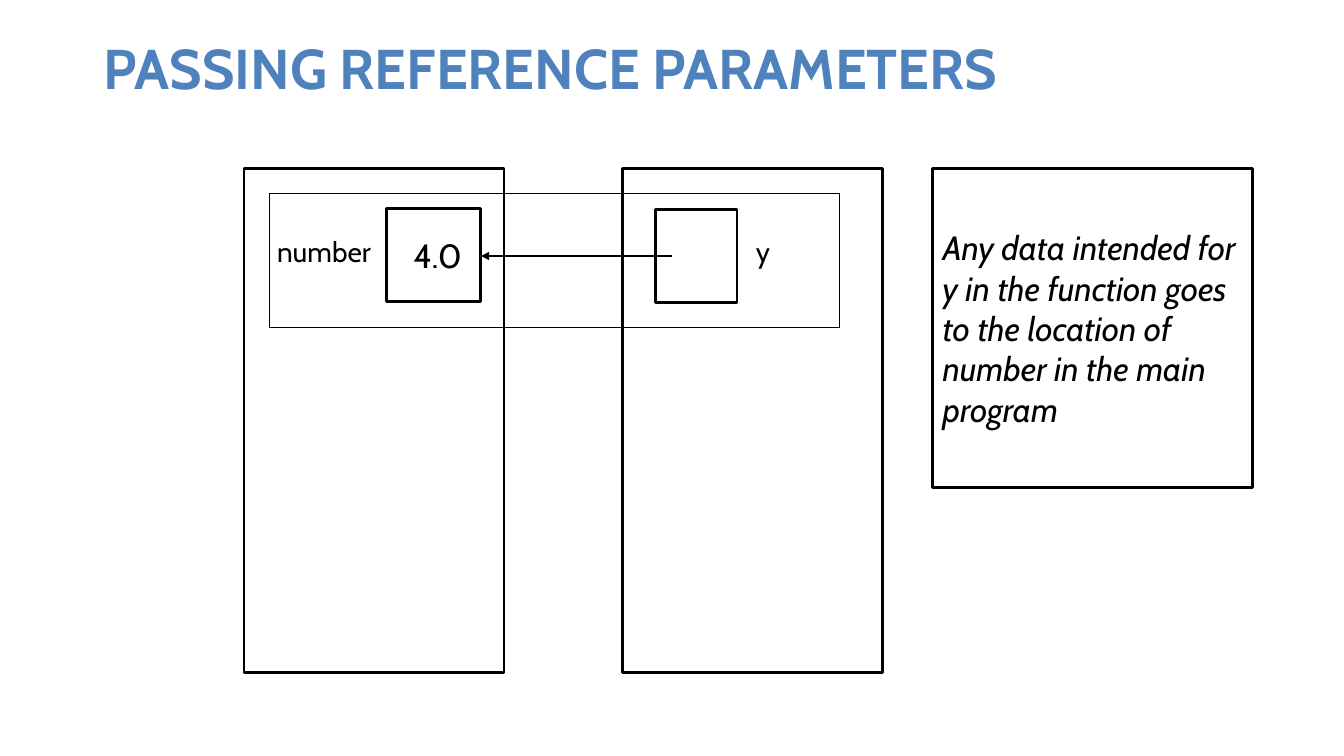
from lxml import etree
from pptx import Presentation
from pptx.dml.color import RGBColor
from pptx.enum.shapes import MSO_CONNECTOR, MSO_SHAPE
from pptx.enum.text import MSO_ANCHOR, MSO_AUTO_SIZE, PP_ALIGN
from pptx.oxml.ns import qn
from pptx.util import Inches, Pt

STRAIGHT = MSO_CONNECTOR.STRAIGHT
RECTANGLE = MSO_SHAPE.RECTANGLE
MIDDLE = MSO_ANCHOR.MIDDLE
NO_AUTOFIT = MSO_AUTO_SIZE.NONE
LEFT, CENTER = PP_ALIGN.LEFT, PP_ALIGN.CENTER

FONT = "Cabin"
COLORS = {"title": "4F81BD", "ink": "000000", "paper": "FFFFFF"}

TITLE = "PASSING REFERENCE PARAMETERS"
TITLE_AREA = (0.67, 0.3, 9.58, 0.74)
NOTE = ("Any data intended for y in the function goes to the location of "
        "number in the main program")
NOTE_AREA = (9.25, 1.67, 3.17, 3.17)

# Memory areas of the main program and of the function
MEMORY_LEFTS = (2.42, 6.17)
MEMORY_TOP, MEMORY_WIDTH, MEMORY_HEIGHT = 1.67, 2.58, 5

NUMBER_VALUE = "4.0"
NUMBER_CELL = (3.83, 2.07, 0.94, 0.92)
Y_CELL = (6.5, 2.08, 0.81, 0.92)
VARIABLE_LABELS = [
    ("number", (2.65, 2.28, 1.17, 0.44)),
    ("y", (7.4, 2.28, 0.34, 0.44)),
]
REFERENCE_START, REFERENCE_END = (6.67, 2.54), (4.77, 2.54)
FRAME_LEFT, FRAME_TOP, FRAME_RIGHT, FRAME_BOTTOM = 2.67, 1.92, 8.33, 3.25


def color(name):
    return RGBColor.from_string(COLORS[name])


def inches(values):
    return [Inches(value) for value in values]


def write(frame, text, size, align=LEFT, ink="ink", bold=False, italic=False):
    frame.text = text
    para = frame.paragraphs[0]
    para.alignment = align
    font = para.runs[0].font
    font.name, font.size = FONT, Pt(size)
    font.bold, font.italic = bold, italic
    font.color.rgb = color(ink)


def add_box(slide, area):
    box = slide.shapes.add_shape(RECTANGLE, *inches(area))
    box.shadow.inherit = False
    box.fill.solid()
    box.fill.fore_color.rgb = color("paper")
    box.line.color.rgb = color("ink")
    box.line.width = Pt(2)
    box.text_frame.word_wrap = True
    box.text_frame.vertical_anchor = MIDDLE
    return box


def add_line(slide, start, end, width, arrow=False):
    line = slide.shapes.add_connector(STRAIGHT, *inches(start + end))
    line.line.color.rgb = color("ink")
    line.line.width = Pt(width)
    if arrow:
        outline = line.line._get_or_add_ln()
        etree.SubElement(outline, qn("a:tailEnd"), type="triangle")
    etree.SubElement(line._element.spPr, qn("a:effectLst"))


def add_title(slide):
    title = slide.shapes.title
    title.left, title.top, title.width, title.height = inches(TITLE_AREA)
    frame = title.text_frame
    write(frame, TITLE, 40, CENTER, "title", bold=True)
    frame.word_wrap = True
    frame.auto_size = NO_AUTOFIT
    frame.vertical_anchor = MIDDLE


def add_memory(slide):
    for left in MEMORY_LEFTS:
        add_box(slide, (left, MEMORY_TOP, MEMORY_WIDTH, MEMORY_HEIGHT))
    number_cell = add_box(slide, NUMBER_CELL)
    write(number_cell.text_frame, NUMBER_VALUE, 24, CENTER)
    number_cell.text_frame.margin_left = Inches(0.18)
    add_box(slide, Y_CELL)
    for text, area in VARIABLE_LABELS:
        label = slide.shapes.add_textbox(*inches(area))
        write(label.text_frame, text, 20)
        label.text_frame.word_wrap = True


def add_frame(slide):
    for y in (FRAME_TOP, FRAME_BOTTOM):
        add_line(slide, (FRAME_LEFT, y), (FRAME_RIGHT, y), 0.75)
    for x in (FRAME_LEFT, FRAME_RIGHT):
        add_line(slide, (x, FRAME_TOP), (x, FRAME_BOTTOM), 0.75)


def main():
    deck = Presentation()
    deck.slide_width, deck.slide_height = Inches(13.33), Inches(7.5)
    slide = deck.slides.add_slide(deck.slide_layouts.get_by_name("Title Only"))
    add_title(slide)
    add_memory(slide)
    note = add_box(slide, NOTE_AREA)
    write(note.text_frame, NOTE, 24, italic=True)
    add_line(slide, REFERENCE_START, REFERENCE_END, 1, arrow=True)
    add_frame(slide)
    deck.save("out.pptx")


if __name__ == "__main__":
    main()
